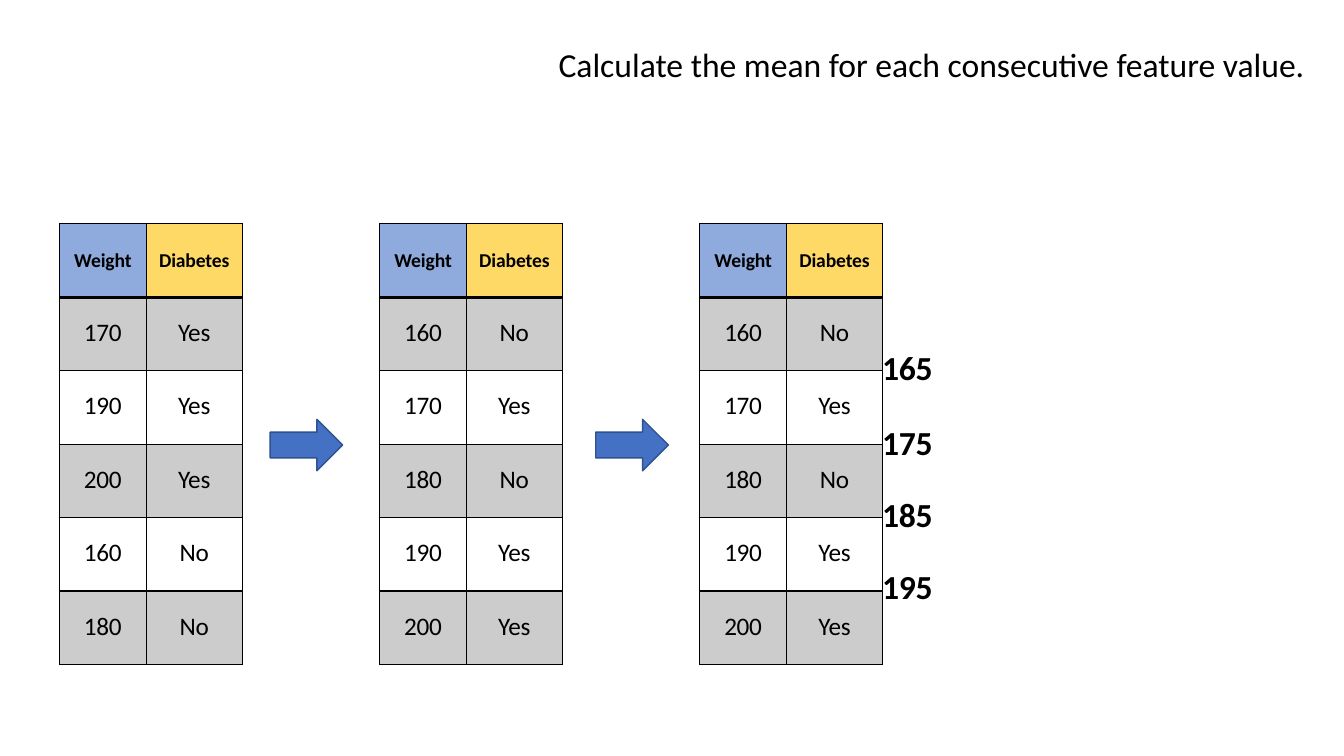
from itertools import pairwise

from lxml import etree
from pptx import Presentation
from pptx import util as u
from pptx.dml.color import RGBColor
from pptx.enum import shapes, text
from pptx.oxml import ns

COLORS = {"ink": "000000", "weight": "8FAADC", "diabetes": "FFD966",
          "arrow": "4471C4", "arrow_edge": "2E528F"}
HEADERS = ("Weight", "Diabetes")
PATIENTS = [(170, "Yes"), (190, "Yes"), (200, "Yes"), (160, "No"), (180, "No")]


class SlideBuilder:
    """Draws styled elements on a grid of 100 columns by 100 rows."""

    font_name = "Calibri"

    def __init__(self, deck):
        self.deck = deck
        self.page = deck.slides.add_slide(deck.slide_layouts[6])

    def across(self, columns):
        return round(self.deck.slide_width * columns / 100)

    def down(self, rows):
        return round(self.deck.slide_height * rows / 100)

    def place(self, left, top, width, height):
        return (self.across(left), self.down(top),
                self.across(width), self.down(height))

    def color(self, name):
        return RGBColor.from_string(COLORS[name])

    def fill_para(self, para, content, size, bold=False, spacing=0):
        para.font.name = self.font_name
        para.font.size = u.Pt(size)
        para.font.bold = bold
        para.font.color.rgb = self.color("ink")
        span = para.add_run()
        span.text = content
        span._r.get_or_add_rPr().set("spc", str(spacing))

    def text_box(self, area, lines, gaps, bold=False, spacing=0):
        box = self.page.shapes.add_textbox(*self.place(*area))
        frame = box.text_frame
        frame.word_wrap = True
        frame.margin_left = frame.margin_right = frame.margin_bottom = 0
        frame.margin_top = u.Inches(0.02)
        for index, (line, gap) in enumerate(zip(lines, gaps)):
            para = frame.add_paragraph() if index else frame.paragraphs[0]
            if gap:
                para.space_before = u.Pt(gap)
            self.fill_para(para, line, 24, bold, spacing)

    def arrow(self, left, top, width, height):
        shape = self.page.shapes.add_shape(
            shapes.MSO_SHAPE.RIGHT_ARROW, *self.place(left, top, width, height))
        shape.shadow.inherit = False
        shape.fill.solid()
        shape.fill.fore_color.rgb = self.color("arrow")
        shape.line.color.rgb = self.color("arrow_edge")
        shape.line.width = u.Pt(1)

    def border(self, cell, side, width):
        properties = cell._tc.get_or_add_tcPr()
        line = etree.SubElement(properties, ns.qn(f"a:ln{side}"), w=str(u.Pt(width)))
        fill = etree.SubElement(line, ns.qn("a:solidFill"))
        etree.SubElement(fill, ns.qn("a:srgbClr"), val=COLORS["ink"])

    def cell(self, cell, content, row, fill):
        cell.margin_left = cell.margin_right = cell.margin_bottom = 0
        cell.margin_top = u.Inches(0.2 if row else 0.25)
        cell.vertical_anchor = text.MSO_ANCHOR.TOP
        for side in "LRTB":
            heavy = (row, side) in ((0, "B"), (1, "T"))
            self.border(cell, side, 2.25 if heavy else 1)
        if fill:
            cell.fill.solid()
            cell.fill.fore_color.rgb = self.color(fill)
        else:
            cell.fill.background()
        if fill == "ink":
            tint = next(cell._tc.tcPr.iterchildren(ns.qn("a:solidFill")))[0]
            etree.SubElement(tint, ns.qn("a:alpha"), val="20000")
        para = cell.text_frame.paragraphs[0]
        para.alignment = text.PP_ALIGN.CENTER
        if row:
            self.fill_para(para, content, 18, spacing=-20)
        else:
            self.fill_para(para, content, 14, bold=True, spacing=-10)

    def table(self, left, top, widths, row_height, records):
        rows = [HEADERS, *records]
        area = self.place(left, top, sum(widths), row_height * len(rows))
        table = self.page.shapes.add_table(len(rows), len(widths), *area).table
        table.first_row = table.horz_banding = False
        for column, width in zip(table.columns, widths):
            column.width = self.across(width)
        for row, values in enumerate(rows):
            table.rows[row].height = self.down(row_height)
            for column, value in enumerate(values):
                if row == 0:
                    fill = ("weight", "diabetes")[column]
                else:
                    fill = "ink" if row % 2 else None
                self.cell(table.cell(row, column), str(value), row, fill)


def main():
    deck = Presentation()
    deck.slide_width, deck.slide_height = u.Inches(13.33), u.Inches(7.5)
    slide = SlideBuilder(deck)
    ordered = sorted(PATIENTS)
    for index, records in enumerate((PATIENTS, ordered, ordered)):
        slide.table(4.43 + 23.82 * index, 29.6, (6.45, 7.15), 9.72, records)
    means = [str((low + high) // 2) for (low, _), (high, _) in pairwise(ordered)]
    slide.text_box((65.64, 45.6, 4, 34.8), means, (0, 25, 22.5, 22.5),
                   bold=True, spacing=-20)
    for index in range(2):
        slide.arrow(20.1 + 24.23 * index, 55.47, 5.4, 6.8)
    slide.text_box((41.56, 5.6, 56.5, 5.73),
                   ["Calculate the mean for each consecutive feature value."], [0])
    deck.save("out.pptx")


if __name__ == "__main__":
    main()
